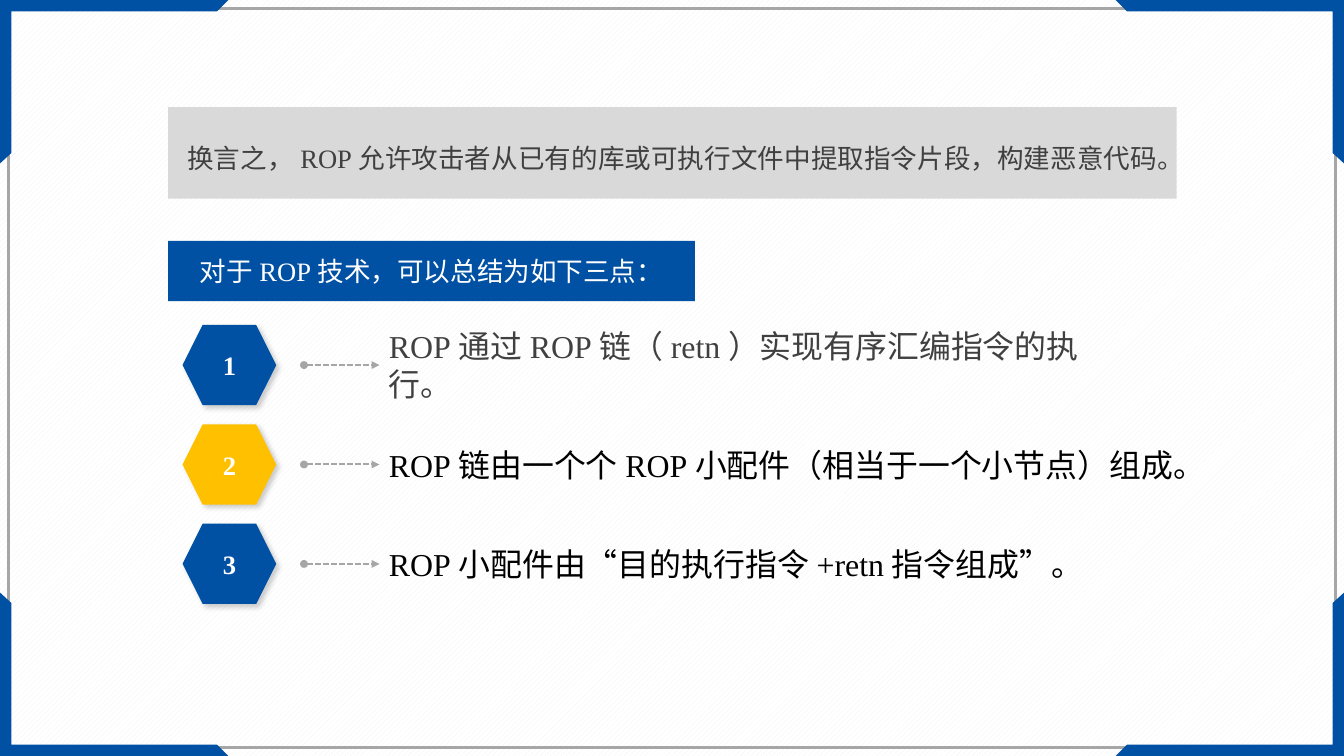
from dataclasses import dataclass

from lxml.etree import SubElement
from pptx import Presentation
from pptx.dml.color import RGBColor
from pptx.enum.dml import MSO_LINE, MSO_PATTERN
from pptx.enum.shapes import MSO_CONNECTOR, MSO_SHAPE
from pptx.enum.text import MSO_ANCHOR, MSO_AUTO_SIZE, PP_ALIGN
from pptx.oxml import parse_xml
from pptx.oxml.ns import nsdecls, qn
from pptx.util import Inches, Pt


@dataclass(frozen=True)
class Theme:
    blue: str = "0050A3"
    gold: str = "FFC000"
    gray: str = "A6A6A6"
    panel: str = "D9D9D9"
    stripe: str = "F2F2F2"
    white: str = "FFFFFF"
    black: str = "000000"
    ink: str = "404040"
    font: str = "Times New Roman"
    label_size: int = 20
    point_size: int = 24


THEME = Theme()

SUMMARY = "换言之，ROP允许攻击者从已有的库或可执行文件中提取指令片段，构建恶意代码。"
HEADING = "对于ROP技术，可以总结为如下三点："
POINTS = [
    ("ROP通过ROP链（retn）实现有序汇编指令的执行。", THEME.blue, THEME.ink, 7.7),
    ("ROP链由一个个ROP小配件（相当于一个小节点）组成。", THEME.gold, THEME.black, 8.65),
    ("ROP小配件由“目的执行指令+retn指令组成”。", THEME.blue, THEME.black, 7.7),
]

SLIDE_W, SLIDE_H = 14.06, 7.91
CORNER = [(0, 0), (2.39, 0), (2.27, 0.12), (0.12, 0.12), (0.12, 1.6), (0, 1.71)]
FRAME_MARGIN = 0.09
PANEL_LEFT = 1.76
FIRST_ROW, ROW_PITCH = 3.82, 1.04
BADGE_LEFT, BADGE_W, BADGE_H = 1.91, 0.98, 0.84
ARROW_LEFT, POINT_LEFT, POINT_H = 3.18, 3.97, 0.5


def rgb(color):
    return RGBColor.from_string(color)


def paint(shape, color):
    shape.shadow.inherit = False
    shape.fill.solid()
    shape.fill.fore_color.rgb = rgb(color)
    shape.line.fill.background()


def write(shape, text, size=THEME.label_size, color=THEME.white, bold=False,
          align=PP_ALIGN.CENTER, spacing=None, inset=0.1, fit=MSO_AUTO_SIZE.NONE):
    frame = shape.text_frame
    frame.word_wrap = True
    frame.auto_size = fit
    frame.vertical_anchor = MSO_ANCHOR.MIDDLE
    frame.margin_left = frame.margin_right = Inches(inset)
    paragraph = frame.paragraphs[0]
    paragraph.alignment = align
    paragraph.line_spacing = spacing
    run = paragraph.add_run()
    run.text = text
    run.font.name = THEME.font
    run.font.size = Pt(size)
    run.font.bold = bold
    run.font.color.rgb = rgb(color)


def add_block(shapes, kind, left, top, width, height, color):
    block = shapes.add_shape(kind, Inches(left), Inches(top), Inches(width), Inches(height))
    paint(block, color)
    return block


def add_frame(shapes):
    border = add_block(shapes, MSO_SHAPE.RECTANGLE, FRAME_MARGIN, FRAME_MARGIN,
                       SLIDE_W - 2 * FRAME_MARGIN, SLIDE_H - 2 * FRAME_MARGIN, THEME.white)
    border.fill.background()
    border.line.color.rgb = rgb(THEME.gray)
    border.line.width = Pt(2)
    for right in (False, True):
        for bottom in (False, True):
            outline = [(Inches(SLIDE_W - x if right else x),
                        Inches(SLIDE_H - y if bottom else y)) for x, y in CORNER]
            builder = shapes.build_freeform(*outline[0])
            builder.add_line_segments(outline[1:], close=True)
            paint(builder.convert_to_shape(), THEME.blue)


def drop_shadow(shape):
    shape.shadow.inherit = True
    shape.element.spPr.append(parse_xml(
        f'<a:effectLst {nsdecls("a")}>'
        f'<a:outerShdw blurRad="{Pt(4)}" dist="{Pt(3)}" dir="2700000" algn="tl" rotWithShape="0">'
        f'<a:srgbClr val="{THEME.black}"><a:alpha val="20000"/></a:srgbClr>'
        '</a:outerShdw></a:effectLst>'))


def add_arrow(shapes, row, target):
    arrow = shapes.add_connector(MSO_CONNECTOR.STRAIGHT, Inches(ARROW_LEFT), Inches(row),
                                 Inches(POINT_LEFT), Inches(row))
    arrow.end_connect(target, 1)
    arrow.line.color.rgb = rgb(THEME.gray)
    arrow.line.width = Pt(1.5)
    arrow.line.dash_style = MSO_LINE.SQUARE_DOT
    properties = arrow.element.spPr
    outline = properties.find(qn("a:ln"))
    SubElement(outline, qn("a:headEnd"), type="oval")
    SubElement(outline, qn("a:tailEnd"), type="triangle")
    SubElement(properties, qn("a:effectLst"))


def add_point(shapes, number, text, badge_color, text_color, width):
    row = FIRST_ROW + (number - 1) * ROW_PITCH
    badge = add_block(shapes, MSO_SHAPE.HEXAGON, BADGE_LEFT, row - BADGE_H / 2,
                      BADGE_W, BADGE_H, badge_color)
    drop_shadow(badge)
    write(badge, str(number), bold=True)
    point = shapes.add_textbox(Inches(POINT_LEFT), Inches(row - POINT_H / 2),
                               Inches(width), Inches(POINT_H))
    write(point, text, size=THEME.point_size, color=text_color, align=PP_ALIGN.LEFT,
          fit=MSO_AUTO_SIZE.SHAPE_TO_FIT_TEXT)
    add_arrow(shapes, row, point)


def main():
    deck = Presentation()
    deck.slide_width, deck.slide_height = Inches(SLIDE_W), Inches(SLIDE_H)
    slide = deck.slides.add_slide(deck.slide_layouts.get_by_name("Title Only"))
    shapes = slide.shapes

    backdrop = slide.background.fill
    backdrop.patterned()
    backdrop.pattern = MSO_PATTERN.WIDE_UPWARD_DIAGONAL
    backdrop.fore_color.rgb = rgb(THEME.stripe)
    backdrop.back_color.rgb = rgb(THEME.white)
    add_frame(shapes)

    summary = add_block(shapes, MSO_SHAPE.RECTANGLE, PANEL_LEFT, 1.12, 10.55, 0.96, THEME.panel)
    write(summary, SUMMARY, color=THEME.ink, align=PP_ALIGN.JUSTIFY, spacing=1.3, inset=0.2)

    heading = shapes.title
    heading.left, heading.top = Inches(PANEL_LEFT), Inches(2.52)
    heading.width, heading.height = Inches(5.51), Inches(0.63)
    paint(heading, THEME.blue)
    write(heading, HEADING)

    for number, point in enumerate(POINTS, start=1):
        add_point(shapes, number, *point)

    deck.save("out.pptx")


if __name__ == "__main__":
    main()
